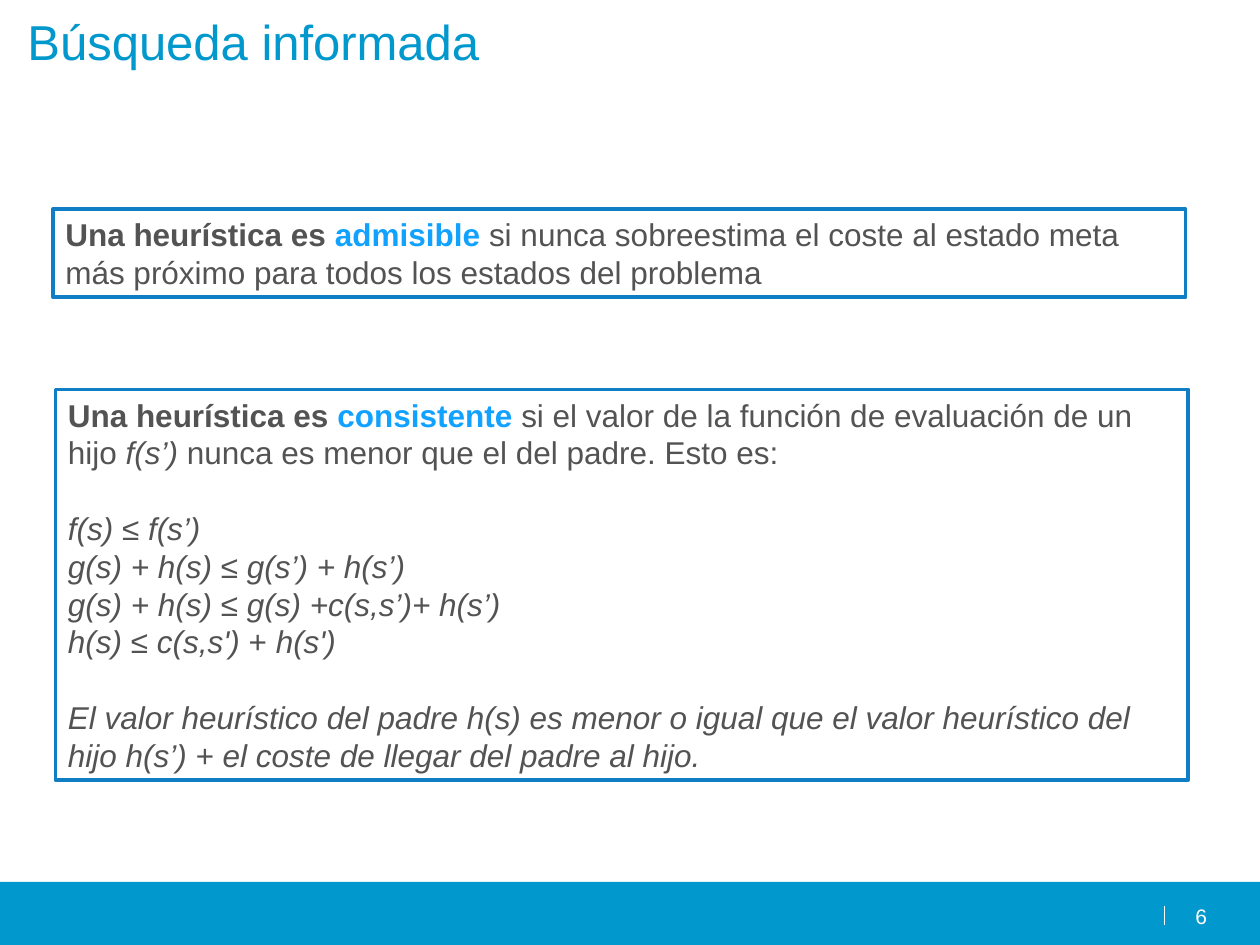
"""Builds the slide defining admissible and consistent heuristics."""
import pptx
import pptx.dml.color
import pptx.enum.shapes
import pptx.enum.text
import pptx.oxml
import pptx.util
from pptx.util import Inches

THEME = {
    "font": "Arial",
    "accent": "0098CD", "border": "0F7EC5", "term": "11A1FF",
    "body": "535353", "white": "FFFFFF",
    "title_size": 28, "body_size": 18, "number_size": 12, "leading": 21.6,
}


def color(role):
    return pptx.dml.color.RGBColor.from_string(THEME[role])


def style(font, size, role, bold=False, italic=False):
    font.name = THEME["font"]
    font.size = pptx.util.Pt(THEME[size])
    font.color.rgb = color(role)
    font.bold = bold
    font.italic = italic


deck = pptx.Presentation()
deck.slide_width, deck.slide_height = Inches(10), Inches(7.5)
slide = deck.slides.add_slide(deck.slide_layouts[6])
shapes = slide.shapes
rectangle = pptx.enum.shapes.MSO_SHAPE.RECTANGLE

footer = shapes.add_shape(rectangle, 0, Inches(7), Inches(10), Inches(0.5))
footer.shadow.inherit = False
footer.fill.solid()
footer.fill.fore_color.rgb = color("accent")
footer.line.fill.background()

divider = shapes.add_connector(
    pptx.enum.shapes.MSO_CONNECTOR.STRAIGHT,
    Inches(9.24), Inches(7.34), Inches(9.24), Inches(7.19))
divider.line.color.rgb = color("white")
divider.line.width = pptx.util.Pt(0.75)
divider._element.spPr.append(pptx.oxml.parse_xml(
    '<a:effectLst xmlns:a="http://schemas.openxmlformats.org/drawingml/2006/main"/>'))

title = shapes.add_textbox(Inches(0.12), Inches(0.04), Inches(9), Inches(1.25)).text_frame
title.word_wrap = True
title.text = "Búsqueda informada"
style(title.paragraphs[0].runs[0].font, "title_size", "accent")

number = shapes.add_textbox(Inches(9.28), Inches(7.17), Inches(0.3), Inches(0.19)).text_frame
number.word_wrap = True
number.margin_left = number.margin_right = number.margin_top = number.margin_bottom = 0
number.text = "6"
number.paragraphs[0].alignment = pptx.enum.text.PP_ALIGN.RIGHT
style(number.paragraphs[0].runs[0].font, "number_size", "white")

RUN_STYLES = {
    "lead": {"role": "body", "bold": True},
    "term": {"role": "term", "bold": True},
    "plain": {"role": "body"},
    "formula": {"role": "body", "italic": True},
}
admissible = [
    (0, [("Una heurística es ", "lead"), ("admisible ", "term"),
         ("si nunca sobreestima el coste al estado meta más próximo "
          "para todos los estados del problema", "plain")]),
]
consistent = [
    (0, [("Una heurística es ", "lead"), ("consistente ", "term"),
         ("si el valor de la función de evaluación de un hijo ", "plain"),
         ("f(s’) ", "formula"),
         ("nunca es menor que el del padre. Esto es:", "plain")]),
    (1, [("f(s) ≤ f(s’)", "formula")]),
    (0, [("g(s) + h(s) ≤ g(s’) + h(s’)", "formula")]),
    (0, [("g(s) + h(s) ≤ g(s) +c(s,s’)+ h(s’)", "formula")]),
    (0, [("h(s) ", "formula"), ("≤ ", "plain"), ("c(s,s') ", "formula"),
         ("+ ", "plain"), ("h(s')", "formula")]),
    (1, [("El valor heurístico del padre h(s) es menor o igual que el valor heurístico "
          "del hijo h(s’) + el coste de llegar del padre al hijo.", "formula")]),
]

for left, top, height, definition in [(0.42, 1.66, 0.7, admissible),
                                      (0.44, 3.09, 3.1, consistent)]:
    panel = shapes.add_shape(rectangle, Inches(left), Inches(top), Inches(8.99), Inches(height))
    panel.shadow.inherit = False
    panel.fill.solid()
    panel.fill.fore_color.rgb = color("white")
    panel.line.color.rgb = color("border")
    panel.line.width = pptx.util.Pt(2)
    frame = panel.text_frame
    frame.word_wrap = True
    frame.vertical_anchor = pptx.enum.text.MSO_ANCHOR.TOP
    for index, (lines_before, pieces) in enumerate(definition):
        paragraph = frame.add_paragraph() if index else frame.paragraphs[0]
        paragraph.alignment = pptx.enum.text.PP_ALIGN.LEFT
        paragraph.line_spacing = pptx.util.Pt(THEME["leading"])
        if lines_before:
            paragraph.space_before = pptx.util.Pt(lines_before * THEME["leading"])
        for words, kind in pieces:
            run = paragraph.add_run()
            run.text = words
            style(run.font, "body_size", **RUN_STYLES[kind])

deck.save("out.pptx")
